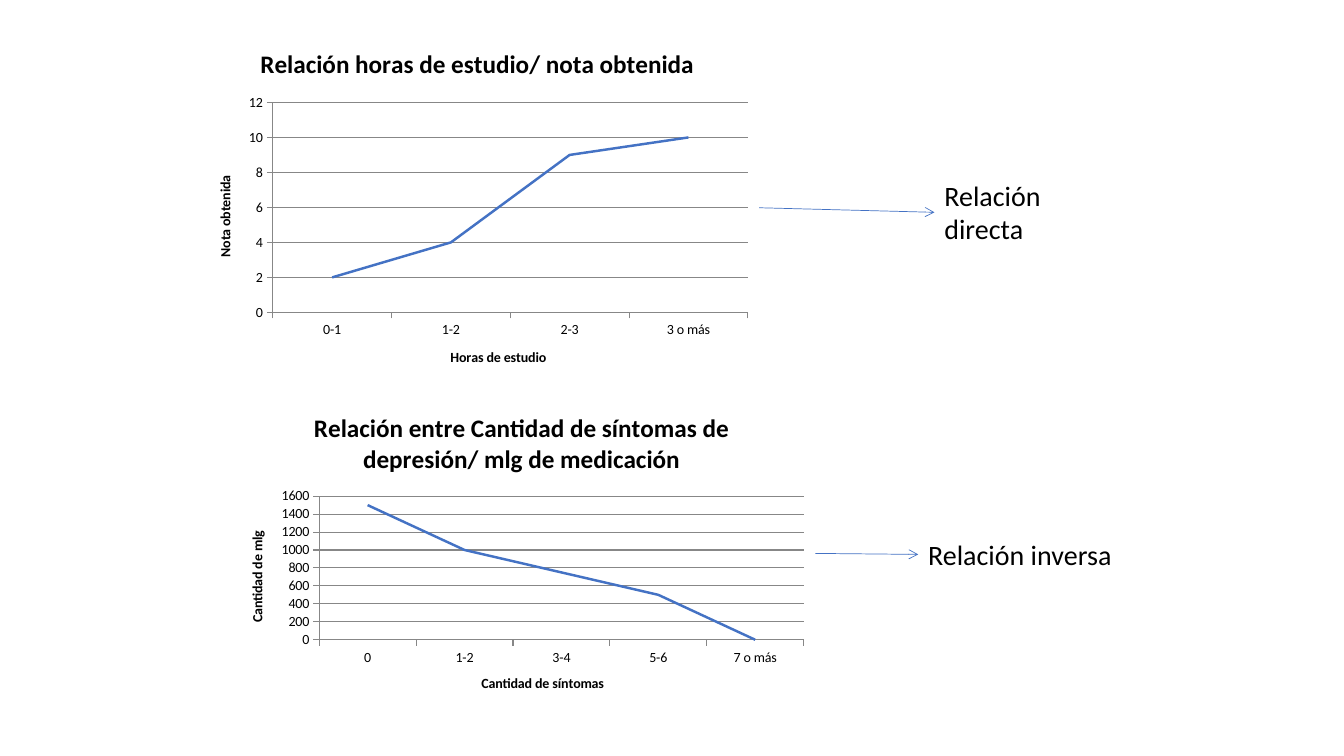
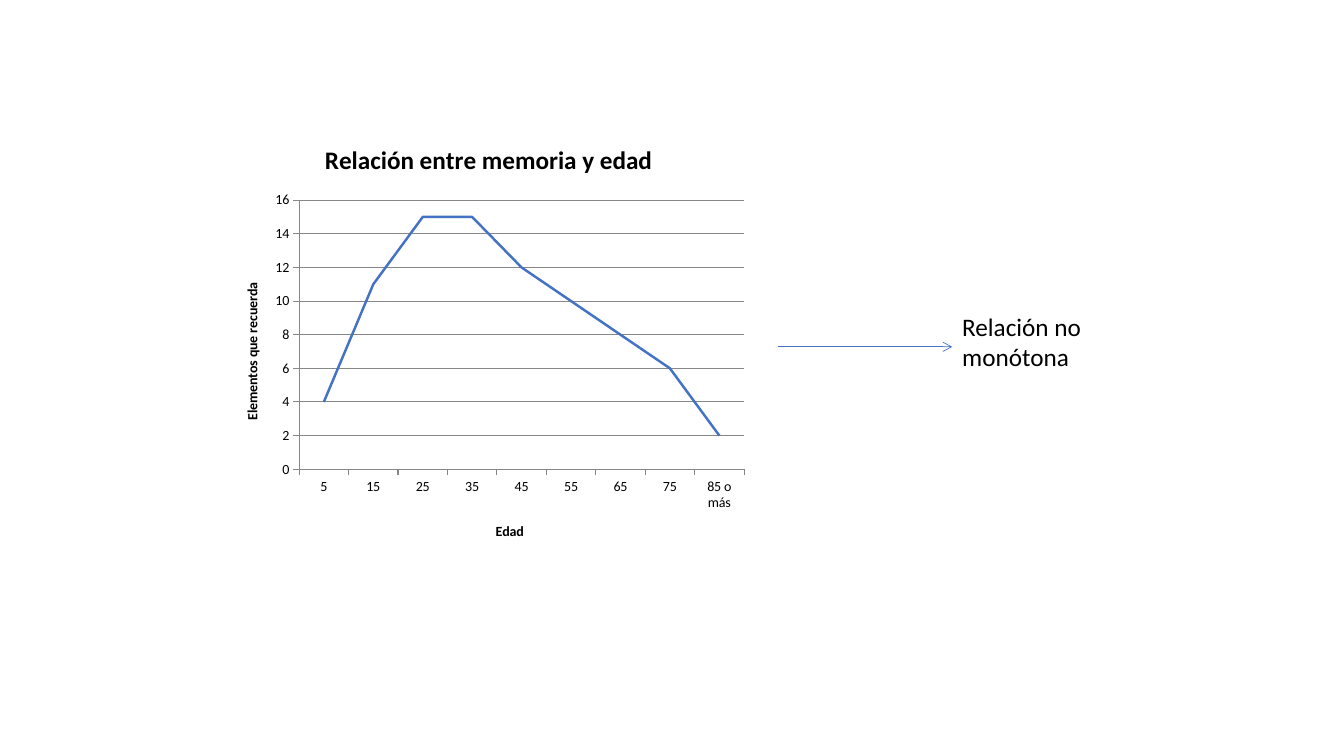
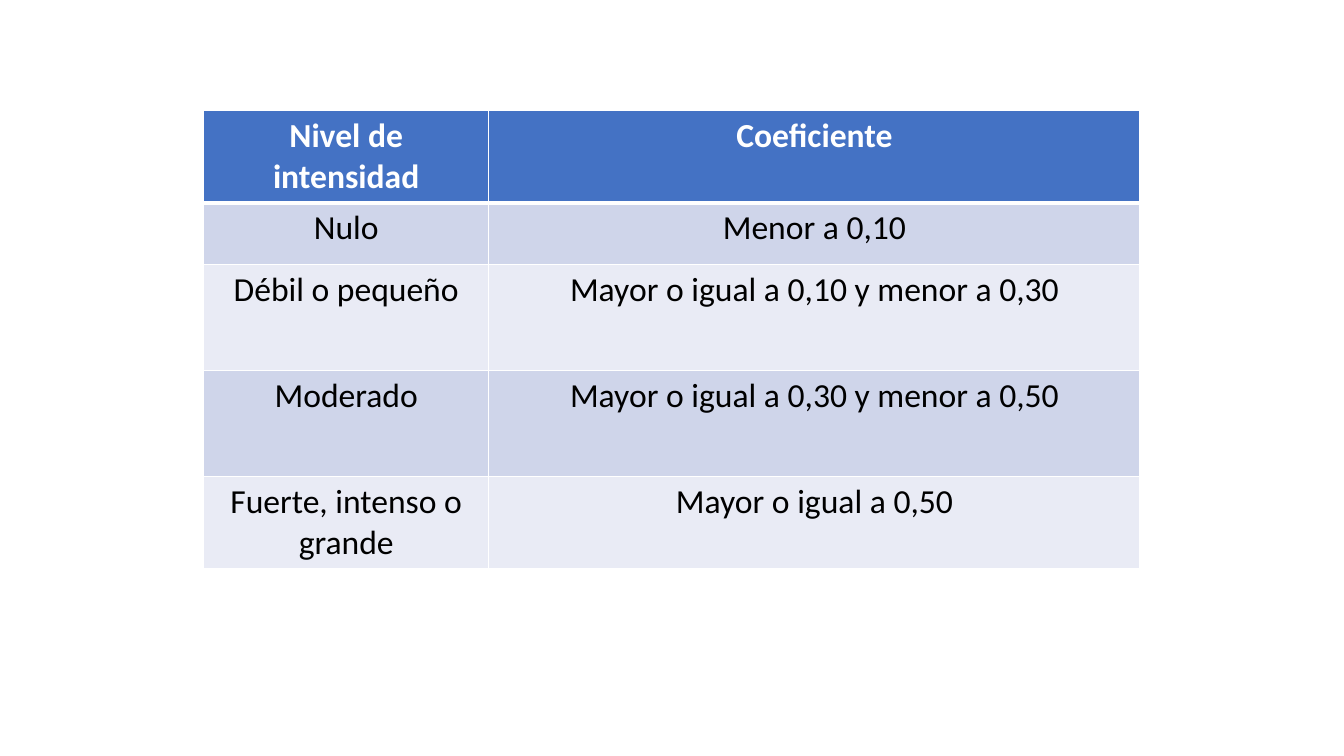
"""Build three slides on kinds of relation between variables and their intensity."""
from lxml.etree import SubElement
from pptx import Presentation
from pptx.chart.data import CategoryChartData
from pptx.dml.color import RGBColor
from pptx.enum.chart import XL_CHART_TYPE, XL_MARKER_STYLE, XL_TICK_MARK
from pptx.enum.shapes import MSO_CONNECTOR
from pptx.enum.text import PP_ALIGN
from pptx.oxml.ns import qn
from pptx.util import Cm, Pt

FONT = "Calibri"
BLACK, WHITE, BLUE, GRAY = "000000", "FFFFFF", "4472C4", "878787"
BANDS = ("CFD5EA", "E9EBF5")

STUDY_TITLE = "Relación horas de estudio/ nota obtenida"
SYMPTOM_TITLE = "Relación entre Cantidad de síntomas de depresión/ mlg de medicación"

RELATION_SLIDES = [
    [
        {
            "title": STUDY_TITLE, "series": STUDY_TITLE,
            "x_title": "Horas de estudio", "y_title": "Nota obtenida",
            "points": {"0-1": 2, "1-2": 4, "2-3": 9, "3 o más": 10},
            "chart_box": (4.93, 0.74, 14.2, 8.99),
            "label": "Relación directa", "label_size": 20,
            "label_box": (23.55, 4.37, 3.12, 1.96),
        },
        {
            "title": SYMPTOM_TITLE, "series": SYMPTOM_TITLE,
            "x_title": "Cantidad de síntomas", "y_title": "Cantidad de mlg",
            "points": {"0": 1500, "1-2": 1000, "3-4": 750, "5-6": 500, "7 o más": 0},
            "chart_box": (5.74, 9.93, 14.81, 8.03),
            "label": "Relación inversa", "label_size": 20,
            "label_box": (23.14, 13.41, 5.59, 1.12),
        },
    ],
    [
        {
            "title": "Relación entre memoria y edad", "series": "Series 1",
            "x_title": "Edad", "y_title": "Elementos que recuerda",
            "points": {"5": 4, "15": 11, "25": 15, "35": 15, "45": 12,
                       "55": 10, "65": 8, "75": 6, "85 o más": 2},
            "chart_box": (5.61, 3.12, 13.41, 11),
            "label": "Relación no monótona", "label_size": 18,
            "label_box": (24, 7.72, 5.21, 1.8),
            "arrow": (19.61, 8.74, 24, 8.74),
        },
    ],
]

INTENSITY_ROWS = [
    ("Nivel de intensidad", "Coeficiente"),
    ("Nulo", "Menor a 0,10"),
    ("Débil o pequeño", "Mayor o igual a 0,10 y menor a 0,30"),
    ("Moderado", "Mayor o igual a 0,30 y menor a 0,50"),
    ("Fuerte, intenso o grande", "Mayor o igual a 0,50"),
]
COLUMN_WIDTHS = (7.19, 16.41)
ROW_HEIGHTS = (1.55, 1.55, 2.67, 2.67, 1.55)
TABLE_CORNER = (5.13, 2.79)


def rgb(code):
    return RGBColor.from_string(code)


def cms(values):
    return [Cm(value) for value in values]


def style_font(font, size, color=BLACK, bold=False):
    font.name, font.size, font.bold = FONT, Pt(size), bold
    font.color.rgb = rgb(color)


def add_run(frame, text, size, color=BLACK, bold=False):
    run = frame.paragraphs[0].add_run()
    run.text = text
    style_font(run.font, size, color, bold)


def style_line(line, color, width):
    line.color.rgb = rgb(color)
    line.width = Pt(width)


def add_line_chart(slide, relation):
    data = CategoryChartData(number_format="General")
    data.categories = relation["points"].keys()
    data.add_series(relation["series"], relation["points"].values())
    frame = slide.shapes.add_chart(XL_CHART_TYPE.LINE, *cms(relation["chart_box"]), data)
    chart = frame.chart
    chart.has_legend = False
    style_font(chart.font, 10)
    chart.has_title = True
    add_run(chart.chart_title.text_frame, relation["title"], 18, bold=True)
    chart.chart_title.include_in_layout = False
    for axis, title in ((chart.category_axis, relation["x_title"]),
                        (chart.value_axis, relation["y_title"])):
        add_run(axis.axis_title.text_frame, title, 10, bold=True)
        axis.major_tick_mark = XL_TICK_MARK.OUTSIDE
        style_line(axis.format.line, GRAY, 0.75)
    chart.value_axis.has_major_gridlines = True
    style_line(chart.value_axis.major_gridlines.format.line, GRAY, 0.75)
    chart.plots[0].vary_by_categories = False
    series = chart.plots[0].series[0]
    series.smooth = False
    series.marker.style = XL_MARKER_STYLE.NONE
    style_line(series.format.line, BLUE, 1.75)
    return frame


def add_label(slide, relation):
    label = slide.shapes.add_textbox(*cms(relation["label_box"]))
    label.text_frame.word_wrap = True
    add_run(label.text_frame, relation["label"], relation["label_size"])
    return label


def add_arrow(slide, chart, label, ends):
    arrow = slide.shapes.add_connector(MSO_CONNECTOR.STRAIGHT, *cms(ends or (0, 0, 0, 0)))
    if not ends:
        arrow.begin_connect(chart, 3)
        arrow.end_connect(label, 1)
    style_line(arrow.line, BLUE, 0.5)
    SubElement(arrow.line._get_or_add_ln(), qn("a:tailEnd"), type="arrow")
    SubElement(arrow._element.spPr, qn("a:effectLst"))


def set_borders(cell, widths):
    properties = cell._tc.get_or_add_tcPr()
    for index, (side, width) in enumerate(widths.items()):
        border = SubElement(properties, qn(f"a:ln{side}"), w=str(Pt(width)))
        fill = SubElement(border, qn("a:solidFill"))
        SubElement(fill, qn("a:srgbClr"), val=WHITE)
        properties.insert(index, border)


def add_intensity_table(slide):
    size = (sum(COLUMN_WIDTHS), sum(ROW_HEIGHTS))
    table = slide.shapes.add_table(len(INTENSITY_ROWS), len(COLUMN_WIDTHS),
                                   *cms(TABLE_CORNER + size)).table
    table.horz_banding = False
    for column, width in zip(table.columns, COLUMN_WIDTHS):
        column.width = Cm(width)
    for r, (texts, height) in enumerate(zip(INTENSITY_ROWS, ROW_HEIGHTS)):
        table.rows[r].height = Cm(height)
        header = r == 0
        for c, text in enumerate(texts):
            cell = table.cell(r, c)
            cell.fill.solid()
            cell.fill.fore_color.rgb = rgb(BLUE if header else BANDS[(r - 1) % 2])
            add_run(cell.text_frame, text, 24, WHITE if header else BLACK, header)
            cell.text_frame.paragraphs[0].alignment = PP_ALIGN.CENTER
            set_borders(cell, {"L": 1, "R": 1, "T": 3 if r == 1 else 1, "B": 3 if header else 1})


def main():
    deck = Presentation()
    deck.slide_width, deck.slide_height = Cm(33.87), Cm(19.05)
    blank = deck.slide_layouts[6]
    for relations in RELATION_SLIDES:
        slide = deck.slides.add_slide(blank)
        for relation in relations:
            chart = add_line_chart(slide, relation)
            label = add_label(slide, relation)
            add_arrow(slide, chart, label, relation.get("arrow"))
    add_intensity_table(deck.slides.add_slide(blank))
    deck.save("out.pptx")


if __name__ == "__main__":
    main()
